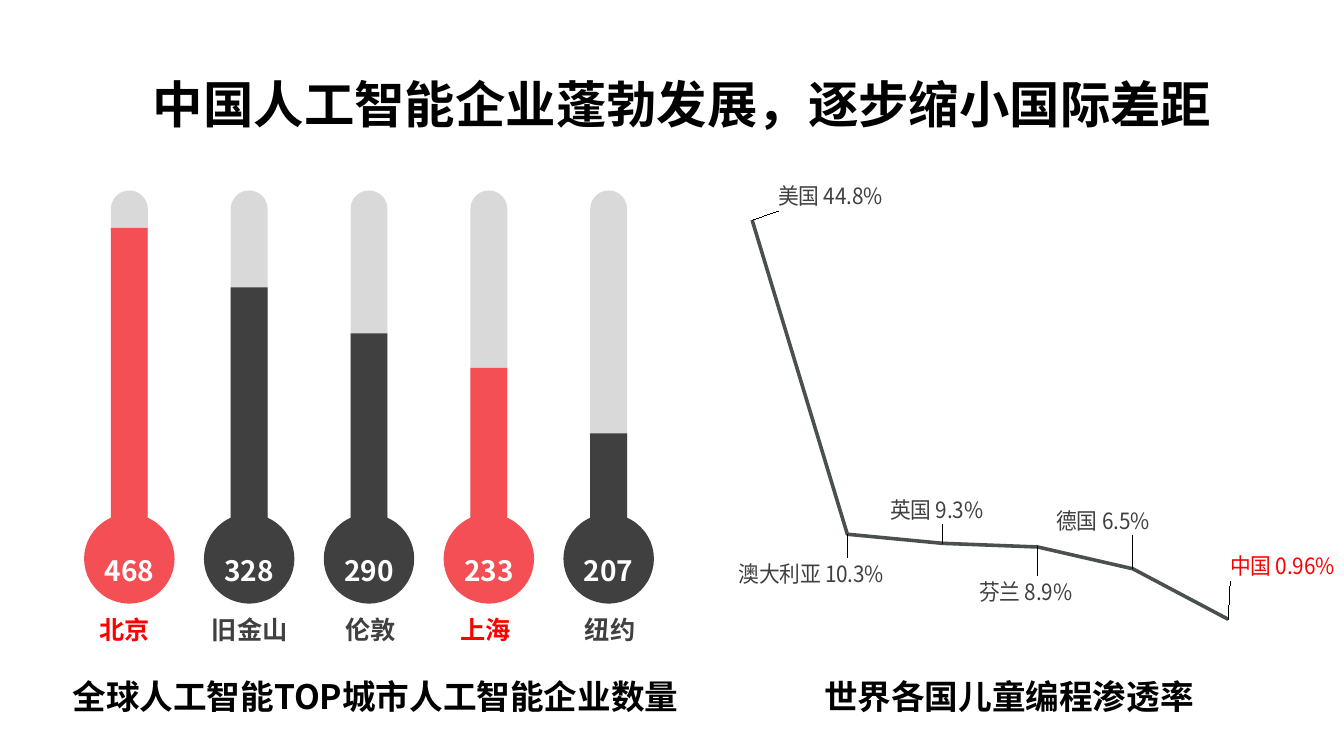
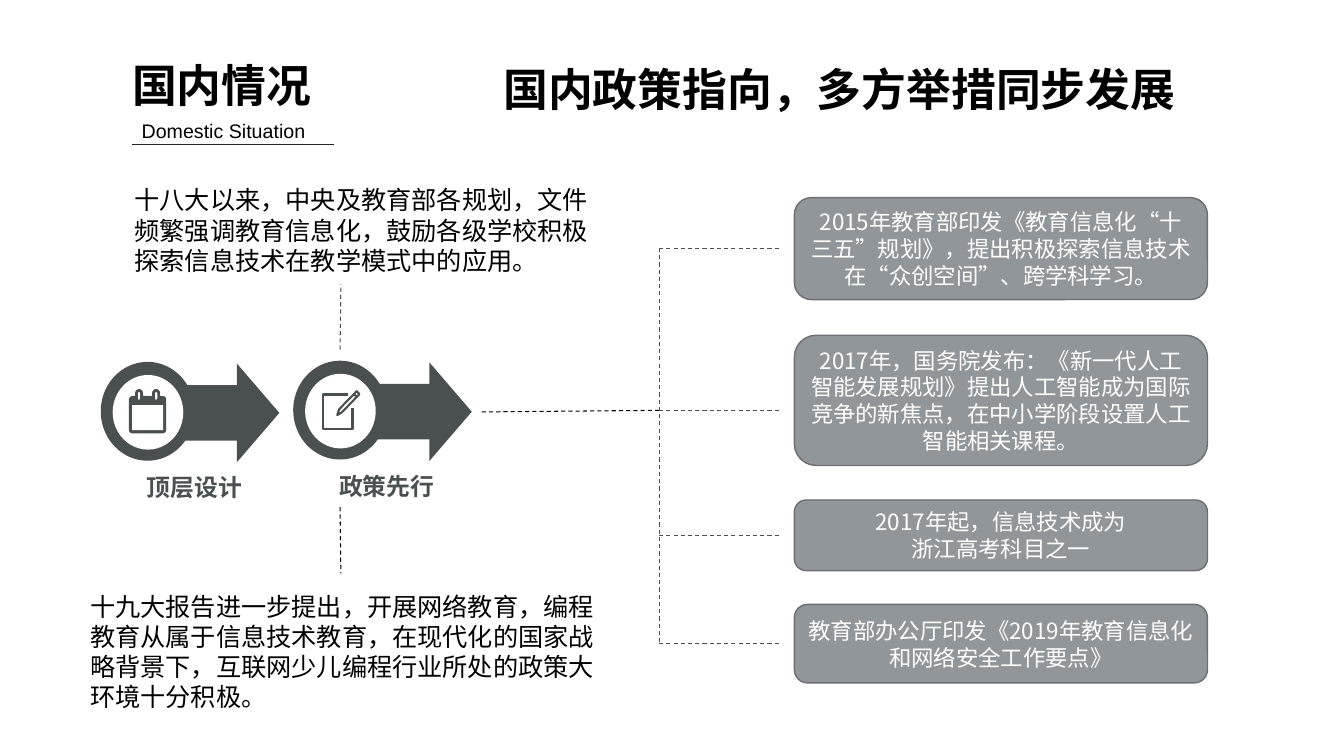
import lxml.etree
import pptx
import pptx.chart.data
import pptx.dml.color
import pptx.enum.chart
import pptx.enum.dml
import pptx.enum.shapes
import pptx.enum.text
import pptx.oxml.ns
import pptx.util

Cm = pptx.util.Cm
Pt = pptx.util.Pt
qn = pptx.oxml.ns.qn
SHAPE = pptx.enum.shapes.MSO_SHAPE
ALIGN = pptx.enum.text.PP_ALIGN
ANCHOR = pptx.enum.text.MSO_ANCHOR
ABOVE = pptx.enum.chart.XL_LABEL_POSITION.ABOVE

CJK, LATIN = "Noto Sans CJK SC", "Arial"
BLACK, WHITE, RED = "000000", "FFFFFF", "FF0000"
CORAL, CHARCOAL, TUBE = "F44F54", "404040", "D9D9D9"
SLATE, CARD, CARD_EDGE, RULE = "4A4F4F", "91969B", "6B6F73", "262626"

CHART_EXTENSION = "{CE6537A1-D6FC-4f65-9D91-7224C49458BB}"
CHART_2012 = "http://schemas.microsoft.com/office/drawing/2012/chart"


def rgb(code):
    return pptx.dml.color.RGBColor.from_string(code)


def write(frame, text, size=18, color=BLACK, bold=False, font=CJK, align=ALIGN.LEFT,
          anchor=ANCHOR.TOP, spacing=None, inset=None, wrap=True):
    frame.word_wrap = wrap
    frame.vertical_anchor = anchor
    if inset is not None:
        frame.margin_left = frame.margin_right = Cm(inset)
        frame.margin_top = frame.margin_bottom = Cm(inset / 2)
    for number, line in enumerate(text.split("\n")):
        paragraph = frame.add_paragraph() if number else frame.paragraphs[0]
        paragraph.alignment = align
        if spacing:
            paragraph.line_spacing = spacing
        run = paragraph.add_run()
        run.text = line
        run.font.size = Pt(size)
        run.font.bold = bold
        run.font.name = font
        run.font.color.rgb = rgb(color)
        east_asian = lxml.etree.Element(qn("a:ea"), typeface=CJK)
        run.font._element.find(qn("a:latin")).addnext(east_asian)


def manual_layout(**items):
    layout = lxml.etree.Element(qn("c:layout"))
    manual = lxml.etree.SubElement(layout, qn("c:manualLayout"))
    for name, value in items.items():
        lxml.etree.SubElement(manual, qn(f"c:{name}"), val=str(value))
    return layout


def hide_leader_lines(labels):
    extensions = lxml.etree.SubElement(labels, qn("c:extLst"))
    extension = lxml.etree.SubElement(extensions, qn("c:ext"), uri=CHART_EXTENSION)
    lxml.etree.SubElement(extension, f"{{{CHART_2012}}}showLeaderLines",
                          nsmap={"c15": CHART_2012}, val="0")


class Deck:
    """Holds the shared style and the slide being drawn, measured in centimetres."""

    def __init__(self):
        self.show = pptx.Presentation()
        self.show.slide_width, self.show.slide_height = Cm(33.87), Cm(19.05)
        self.shapes = None

    def new_slide(self):
        self.shapes = self.show.slides.add_slide(self.show.slide_layouts[6]).shapes

    def text(self, box, text, **style):
        write(self.shapes.add_textbox(*map(Cm, box)).text_frame, text, **style)

    def title(self, text, center, top, width, size):
        self.text((center - width / 2, top, width, 1.9), text, size=size, bold=True,
                  align=ALIGN.CENTER, spacing=1.2)

    def caption(self, box, text, size=24):
        self.text(box, text, size=size, bold=True, inset=0.18)

    def paint(self, shape, fill, edge, weight):
        shape.shadow.inherit = False
        if fill:
            shape.fill.solid()
            shape.fill.fore_color.rgb = rgb(fill)
        else:
            shape.fill.background()
        if edge:
            shape.line.color.rgb = rgb(edge)
            shape.line.width = Pt(weight)
        else:
            shape.line.fill.background()

    def shape(self, kind, box, fill, edge=None, weight=1, adjust=()):
        shape = self.shapes.add_shape(kind, *map(Cm, box))
        for number, value in enumerate(adjust):
            shape.adjustments[number] = value
        self.paint(shape, fill, edge, weight)
        return shape

    def outline(self, points, weight, close, fill=None):
        corners = [(Cm(x), Cm(y)) for x, y in points]
        builder = self.shapes.build_freeform(*corners[0])
        builder.add_line_segments(corners[1:], close=close)
        self.paint(builder.convert_to_shape(), fill, SLATE, weight)

    def line(self, start, end, color=SLATE, weight=0.75, dash=True):
        line = self.shapes.add_connector(pptx.enum.shapes.MSO_CONNECTOR.STRAIGHT,
                                         *map(Cm, start + end))
        line.line.color.rgb = rgb(color)
        line.line.width = Pt(weight)
        if dash:
            line.line.dash_style = pptx.enum.dml.MSO_LINE.DASH
        lxml.etree.SubElement(line._element.spPr, qn("a:effectLst"))

    def thermometer(self, center, city, city_left, count, level, fill, label_color):
        top, bottom, width = 4.8, 13.75, 0.93
        left = center - width / 2
        self.shape(SHAPE.ROUND_2_SAME_RECTANGLE, (left, top, width, bottom - top), TUBE,
                   adjust=(0.5, 0))
        self.shape(SHAPE.RECTANGLE, (left, level, width, bottom - level), fill)
        self.shape(SHAPE.OVAL, (center - 1.14, 12.95, 2.28, 2.26), fill)
        self.text((center - 1.25, 13.4, 2.5, 1.4), count, size=20, color=WHITE, bold=True,
                  align=ALIGN.CENTER, spacing=1.5)
        self.text((city_left, 15.35, 2.84, 1.02), city, color=label_color, bold=True)

    def line_chart(self, box, rows):
        data = pptx.chart.data.CategoryChartData()
        data.categories = [str(number + 1) for number in range(len(rows))]
        data.add_series("Series 1", [row[1] for row in rows])
        chart = self.shapes.add_chart(pptx.enum.chart.XL_CHART_TYPE.LINE_STACKED,
                                      *map(Cm, box), data).chart
        chart.has_legend = chart.has_title = False
        chart.font.name, chart.font.size, chart.font.bold = CJK, Pt(16), True
        chart.font.color.rgb = rgb(BLACK)
        chart.value_axis.minimum_scale, chart.value_axis.maximum_scale = 0, 0.5
        for axis in (chart.category_axis, chart.value_axis):
            axis.has_major_gridlines = False
            axis.visible = False
        plot_area = chart._chartSpace.chart.plotArea
        for layout in plot_area.findall(qn("c:layout")):
            plot_area.remove(layout)
        plot_area.insert(0, manual_layout(layoutTarget="inner", xMode="edge", yMode="edge",
                                          x=0.03, y=0.01, w=0.95, h=0.93))
        chart.plots[0].vary_by_categories = False
        series = chart.plots[0].series[0]
        series.smooth = False
        series.format.line.color.rgb = rgb(SLATE)
        series.format.line.width = Pt(2.75)
        labels = series.data_labels
        labels.show_value = True
        labels.position = ABOVE
        labels.font.name, labels.font.size, labels.font.bold = CJK, Pt(16), True
        labels.font.color.rgb = rgb(CHARCOAL)
        for number, (text, _, color, shift_x, shift_y) in enumerate(rows):
            label = series.points[number].data_label
            write(label.text_frame, text, size=16, color=color, align=ALIGN.CENTER, wrap=False)
            label.position = ABOVE
            tag = labels._element.findall(qn("c:dLbl"))[number]
            tag.find(qn("c:idx")).addnext(manual_layout(x=shift_x, y=shift_y))
        hide_leader_lines(labels._element)

    def step(self, left, top, label):
        self.shape(SHAPE.RIGHT_ARROW, (left + 1.6, top + 0.04, 2.9, 2.49), SLATE,
                   adjust=(0.56, 0.43))
        self.shape(SHAPE.OVAL, (left, top, 2.36, 2.49), SLATE)
        self.shape(SHAPE.OVAL, (left + 0.3, top + 0.33, 1.78, 1.88), WHITE)
        self.text((left - 0.03, top + 2.86, 4.78, 0.6), label, size=17, color=SLATE, bold=True,
                  font=LATIN, align=ALIGN.CENTER, anchor=ANCHOR.MIDDLE, inset=0, wrap=False)

    def calendar_icon(self, left, top):
        self.shape(SHAPE.ROUNDED_RECTANGLE, (left, top + 0.18, 0.94, 0.94), SLATE, adjust=(0.09,))
        self.shape(SHAPE.RECTANGLE, (left + 0.08, top + 0.41, 0.78, 0.63), WHITE)
        for ring in (0.19, 0.62):
            self.shape(SHAPE.ROUNDED_RECTANGLE, (left + ring, top + 0.04, 0.13, 0.27), WHITE,
                       SLATE, 2, adjust=(0.5,))

    def pencil_icon(self):
        self.outline([(8.76, 9.94), (8.14, 9.94), (8.14, 10.81), (8.88, 10.81), (8.88, 10.28)],
                     2, close=False)
        self.outline([(8.5, 10.46), (8.55, 10.31), (8.99, 9.86), (9.06, 9.93), (8.62, 10.39)],
                     1.5, close=True, fill=WHITE)
        self.line((8.91, 9.92), (8.99, 10), weight=1.5, dash=False)

    def card(self, top, height, text):
        card = self.shape(SHAPE.ROUNDED_RECTANGLE, (20.02, top, 10.41, height), CARD, CARD_EDGE)
        write(card.text_frame, text, size=16, color=WHITE, align=ALIGN.CENTER,
              anchor=ANCHOR.MIDDLE)


def draw_comparison(deck):
    deck.new_slide()
    deck.title("中国人工智能企业蓬勃发展，逐步缩小国际差距", 17.19, 1.42, 32, 36)
    cities = [
        ("北京", 2.26, "468", 5.74, CORAL, RED),
        ("旧金山", 5.09, "328", 7.24, CHARCOAL, CHARCOAL),
        ("伦敦", 8.46, "290", 8.4, CHARCOAL, CHARCOAL),
        ("上海", 11.36, "233", 9.27, CORAL, RED),
        ("纽约", 14.49, "207", 10.92, CHARCOAL, CHARCOAL),
    ]
    for number, city in enumerate(cities):
        deck.thermometer(3.26 + 3.02 * number, *city)
    deck.caption((1.65, 16.94, 17.32, 1.22), "全球人工智能TOP城市人工智能企业数量")
    deck.caption((20.59, 16.94, 9.88, 1.22), "世界各国儿童编程渗透率")
    deck.line_chart((17.3, 4.23, 16.33, 12.34), [
        ("美国 44.8%", 0.448, CHARCOAL, 0.13, -0.01),
        ("澳大利亚 10.3%", 0.103, CHARCOAL, -0.06, 0.12),
        ("英国 9.3%", 0.093, CHARCOAL, -0.01, -0.03),
        ("芬兰 8.9%", 0.089, CHARCOAL, -0.02, 0.13),
        ("德国 6.5%", 0.065, CHARCOAL, -0.05, -0.06),
        ("中国 0.96%", 0.0096, RED, 0.09, -0.07),
    ])


def draw_policy(deck):
    deck.new_slide()
    deck.caption((3.15, 1.37, 5.8, 1.55), "国内情况", size=32)
    deck.line((3.32, 3.65), (8.41, 3.65), color=RULE, dash=False)
    deck.text((3.32, 2.69, 9.4, 0.97), "Domestic Situation", size=14, font=LATIN, spacing=1.3)
    deck.title("国内政策指向，多方举措同步发展", 21.16, 1.17, 24, 32)

    deck.step(7.39, 9.09, "政策先行")
    deck.pencil_icon()
    deck.step(2.54, 9.12, "顶层设计")
    deck.calendar_icon(3.25, 9.8)
    deck.text((3.14, 4.51, 12.14, 2.57),
              "十八大以来，中央及教育部各规划，文件频繁强调教育信息化，鼓励各级学校积极探索信息技术在教学模式中的应用。",
              font=LATIN, anchor=ANCHOR.MIDDLE)
    deck.text((2.02, 14.75, 13.77, 3.33),
              "十九大报告进一步提出，开展网络教育，编程教育从属于信息技术教育，在现代化的国家战略背景下，"
              "互联网少儿编程行业所处的政策大环境十分积极。",
              font=LATIN, anchor=ANCHOR.MIDDLE)
    deck.line((8.57, 12.78), (8.59, 14.45), color=BLACK)
    deck.line((8.57, 8.81), (8.59, 7.16))

    policies = [
        (4.98, 2.57, 6.25,
         "2015年教育部印发《教育信息化“十三五”规划》，提出积极探索信息技术在“众创空间”、跨学科学习。"),
        (8.45, 3.28, 10.34,
         "2017年，国务院发布：《新一代人工智能发展规划》提出人工智能成为国际竞争的新焦点，"
         "在中小学阶段设置人工智能相关课程。"),
        (12.6, 1.78, 13.49, "2017年起，信息技术成为\n浙江高考科目之一"),
        (15.23, 1.98, 16.22, "教育部办公厅印发《2019年教育信息化和网络安全工作要点》"),
    ]
    trunk = 16.61
    deck.line((12.14, 10.38), (trunk, 10.34), color=BLACK)
    deck.line((trunk, policies[0][2]), (trunk, policies[-1][2]))
    for top, height, branch, text in policies:
        deck.line((trunk, branch), (19.66, branch))
        deck.card(top, height, text)


def main():
    deck = Deck()
    draw_comparison(deck)
    draw_policy(deck)
    deck.show.save("out.pptx")


if __name__ == "__main__":
    main()
